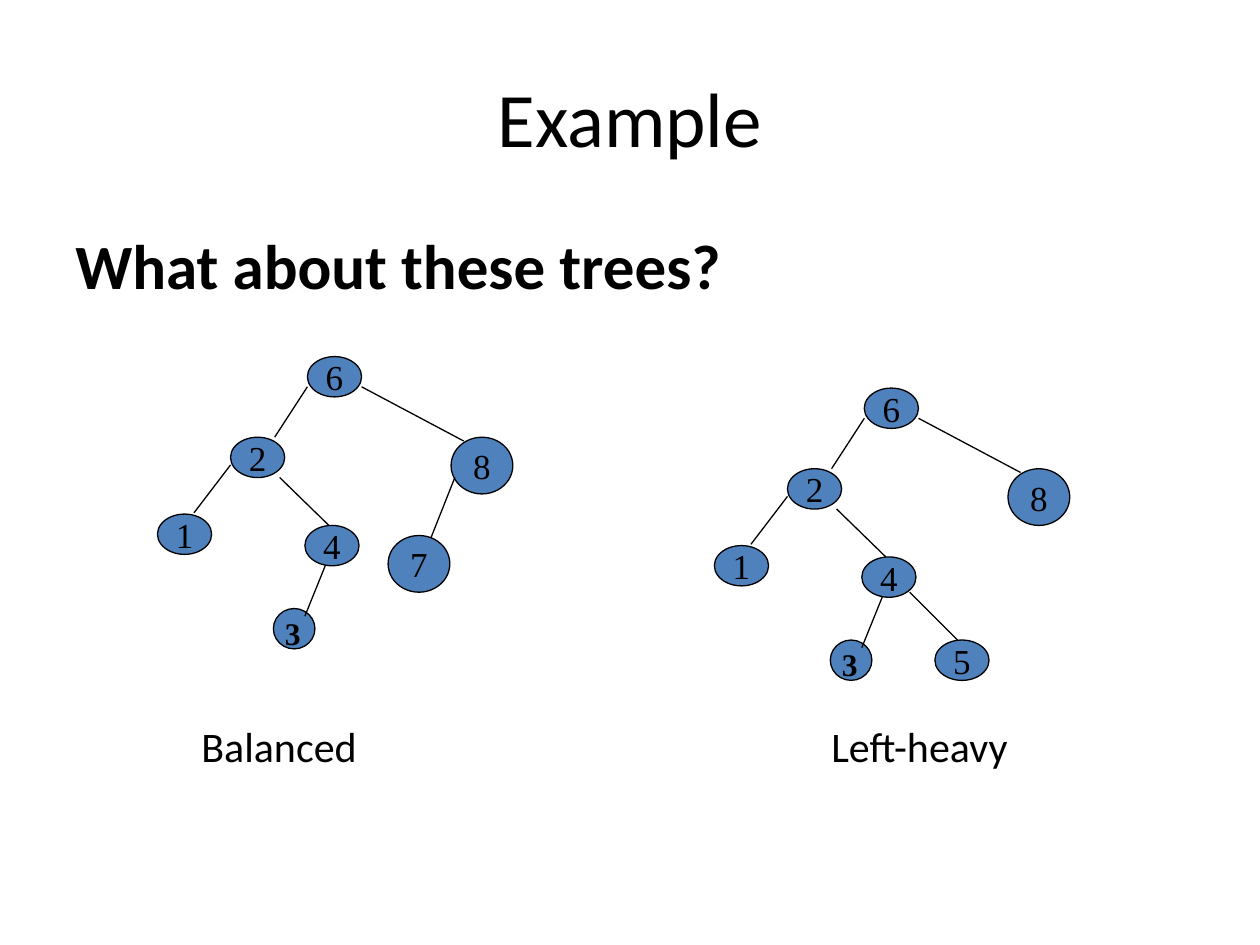
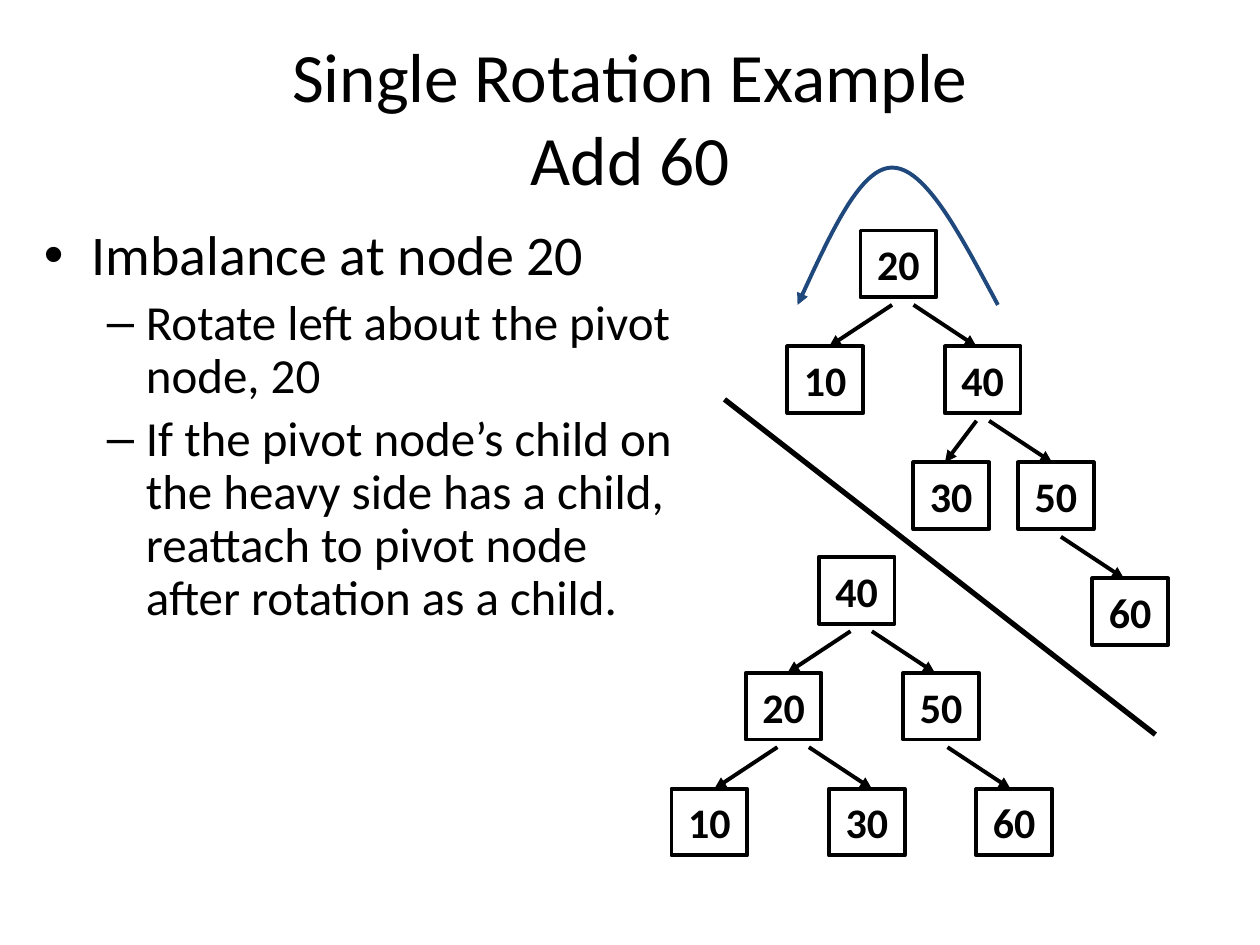
from lxml import etree
from pptx import Presentation
from pptx import util as u
from pptx.dml.color import RGBColor
from pptx.enum import shapes, text
from pptx.oxml.ns import qn

Inches, Pt = u.Inches, u.Pt
COLORS = {"ink": "000000", "paper": "FFFFFF", "node": "4F81BD", "rotation": "1F497D"}
SANS, SERIF = "Calibri", "Times New Roman"
CENTER = text.PP_ALIGN.CENTER
MIDDLE = text.MSO_ANCHOR.MIDDLE


def color(name):
    return RGBColor.from_string(COLORS[name])


def lengths(values):
    return [Inches(value) for value in values]


class Deck:
    """Holds the shared style and the slide being filled."""

    def __init__(self):
        self.presentation = Presentation()
        self.presentation.slide_width = Inches(10)
        self.presentation.slide_height = Inches(7.5)
        self.slide = None

    def format_paragraph(self, paragraph, size, name=SANS, bold=False, **formats):
        for attribute, value in formats.items():
            setattr(paragraph, attribute, value)
        for run in paragraph.runs:
            run.font.color.rgb = color("ink")
            for attribute, value in {"size": Pt(size), "name": name, "bold": bold}.items():
                setattr(run.font, attribute, value)

    def format_frame(self, frame, **formats):
        for attribute, value in formats.items():
            setattr(frame, attribute, value)

    def format_line(self, shape, width, line_color="ink", arrow=None):
        shape.line.color.rgb = color(line_color)
        shape.line.width = Pt(width)
        if arrow:
            end = etree.SubElement(shape.line._get_or_add_ln(), qn(f"a:{arrow}"))
            end.set("type", "triangle")

    def new_slide(self, title, size):
        self.slide = self.presentation.slides.add_slide(self.presentation.slide_layouts[5])
        shape = self.slide.shapes.title
        place = dict(zip(("left", "top", "width", "height"), lengths((0.5, 0.3, 9, 1.25))))
        for attribute, value in place.items():
            setattr(shape, attribute, value)
        frame = shape.text_frame
        frame.text = title
        self.format_frame(frame, vertical_anchor=MIDDLE, auto_size=text.MSO_AUTO_SIZE.NONE)
        self.format_paragraph(frame.paragraphs[0], size, alignment=CENTER)

    def textbox(self, place, words="", wrap=True, anchor=text.MSO_ANCHOR.TOP):
        frame = self.slide.shapes.add_textbox(*lengths(place)).text_frame
        self.format_frame(frame, word_wrap=wrap, vertical_anchor=anchor)
        frame.text = words
        return frame

    def bullets(self, place, items):
        frame = self.textbox(place)
        for index, (words, level) in enumerate(items):
            paragraph = frame.add_paragraph() if index else frame.paragraphs[0]
            paragraph.add_run().text = words
            mark, size, margin, indent = (("•", 32, 0.38, -0.38), ("–", 28, 0.81, -0.31))[level]
            properties = paragraph._p.get_or_add_pPr()
            properties.set("marL", str(Inches(margin)))
            properties.set("indent", str(Inches(indent)))
            etree.SubElement(properties, qn("a:buFont")).set("typeface", "Arial")
            etree.SubElement(properties, qn("a:buChar")).set("char", mark)
            self.format_paragraph(paragraph, size, level=level, line_spacing=0.9,
                                  space_before=Pt(6 if index else 0))

    def tabbed_line(self, place, labels, stops, size):
        paragraph = self.textbox(place, "".join("\t" + label for label in labels)).paragraphs[0]
        tabs = etree.SubElement(paragraph._p.get_or_add_pPr(), qn("a:tabLst"))
        for stop in stops:
            tab = etree.SubElement(tabs, qn("a:tab"))
            tab.set("pos", str(Inches(stop)))
            tab.set("algn", "l")
        self.format_paragraph(paragraph, size)

    def node(self, kind, place, words, fill, width, **font):
        shape = self.slide.shapes.add_shape(kind, *lengths(place))
        shape.shadow.inherit = False
        shape.fill.solid()
        shape.fill.fore_color.rgb = color(fill)
        self.format_line(shape, width)
        if words:
            frame = shape.text_frame
            frame.text = words
            self.format_frame(frame, word_wrap=False, vertical_anchor=MIDDLE)
            self.format_paragraph(frame.paragraphs[0], alignment=CENTER, **font)

    def round_node(self, words, x, y, width=0.43, height=0.32):
        self.node(shapes.MSO_SHAPE.OVAL, (x, y, width, height), words, "node", 0.75,
                  size=20, name=SERIF)

    def box_node(self, words, x, y):
        self.node(shapes.MSO_SHAPE.RECTANGLE, (x, y, 0.6, 0.53), words, "paper", 2.25,
                  size=24, bold=True)

    def connector(self, x1, y1, x2, y2, width, arrow=None):
        line = self.slide.shapes.add_connector(
            shapes.MSO_CONNECTOR.STRAIGHT, *lengths((x1, y1, x2, y2)))
        self.format_line(line, width, arrow=arrow)
        etree.SubElement(line._element.spPr, qn("a:effectLst"))

    def curve(self, start, segments, steps=24):
        """Draw cubic segments, with an arrowhead at the start."""
        points, origin = [], start
        for first, second, end in segments:
            for step in range(1, steps + 1):
                t = step / steps
                s = 1 - t
                points.append(lengths(
                    s**3 * a + 3 * s * s * t * b + 3 * s * t * t * c + t**3 * d
                    for a, b, c, d in zip(origin, first, second, end)))
            origin = end
        builder = self.slide.shapes.build_freeform(*lengths(start))
        builder.add_line_segments(points, close=False)
        shape = builder.convert_to_shape()
        shape.shadow.inherit = False
        shape.fill.background()
        self.format_line(shape, 2.25, "rotation", "headEnd")


# Places in the round trees, measured from the tree's left and top
BIG = (0.49, 0.45)
UPPER_NODES = [("6", 1.19, 0), ("8", 2.33, 0.64, *BIG), ("2", 0.58, 0.64)]
LOWER_NODES = [("1", 0, 1.25), ("4", 1.17, 1.34)]
EDGES = [(1.62, 0.24, 2.43, 0.67), (1.19, 0.24, 0.93, 0.64), (0.97, 0.96, 1.36, 1.34),
         (0.58, 0.86, 0.29, 1.24), (1.36, 1.59, 1.17, 2.06)]


def round_tree(deck, left, top, extra_node, extra_edge):
    deck.round_node("", left + 0.92, top + 2, 0.33, 0.32)
    label = deck.textbox((left + 0.91, top + 1.99, 0.33, 0.4), "3", False, MIDDLE)
    deck.format_paragraph(label.paragraphs[0], 18, SERIF, True, alignment=CENTER)
    for words, x, y, *size in UPPER_NODES:
        deck.round_node(words, left + x, top + y, *size)
    for x1, y1, x2, y2 in EDGES + [extra_edge]:
        deck.connector(left + x1, top + y1, left + x2, top + y2, 0.75)
    for words, x, y, *size in LOWER_NODES + [extra_node]:
        deck.round_node(words, left + x, top + y, *size)


def box_tree(deck, top, rows, arrows):
    """Each row lists (key, left); each arrow row lists (from x, to x)."""
    pitch = 0.92
    for level, row in enumerate(rows):
        for words, left in row:
            deck.box_node(words, left, top + level * pitch)
    for level, row in enumerate(arrows):
        y = top + level * pitch
        for x1, x2 in row:
            deck.connector(x1, y + 0.59, x2, y + pitch, 2.25, "tailEnd")


def balance_slide(deck):
    deck.new_slide("Example", 44)
    question = deck.textbox((0.5, 1.75, 9, 0.75), "What about these trees?")
    deck.format_paragraph(question.paragraphs[0], 36, bold=True)
    round_tree(deck, 1.25, 2.83, ("7", 1.83, 1.42, *BIG), (2.36, 0.96, 2.17, 1.44))
    round_tree(deck, 5.67, 3.08, ("5", 1.75, 2), (1.55, 1.62, 1.94, 2.01))
    deck.tabbed_line((0.5, 5.67, 9.17, 0.5), ("Balanced", "Left-heavy"), (1, 6), 24)


def rotation_slide(deck):
    deck.new_slide("Single Rotation Example\vAdd 60", 39.6)
    deck.curve((6.33, 2.42), [((6.58, 1.88), (6.82, 1.33), (7.08, 1.33)),
                              ((7.35, 1.33), (7.63, 1.88), (7.92, 2.42))])
    deck.bullets((0.25, 1.75, 5.22, 4.92), [
        ("Imbalance at node 20", 0),
        ("Rotate left about the pivot node, 20", 1),
        ("If the pivot node’s child on the heavy side has a child, "
         "reattach to pivot node after rotation as a child.", 1),
    ])
    # Before the rotation
    box_tree(deck, 1.83,
             [[("20", 6.83)], [("10", 6.25), ("40", 7.5)],
              [("30", 7.25), ("50", 8.08)], [("60", 8.67)]],
             [[(7.08, 6.58), (7.25, 7.75)], [(7.75, 7.5), (7.85, 8.35)], [(8.42, 8.92)]])
    # After the rotation
    box_tree(deck, 4.42,
             [[("40", 6.5)], [("20", 5.92), ("50", 7.17)],
              [("10", 5.33), ("30", 6.58), ("60", 7.75)]],
             [[(6.75, 6.25), (6.92, 7.42)], [(6.17, 5.67), (6.42, 6.92), (7.52, 8.02)]])
    # Divider between the two trees
    deck.connector(5.75, 3.17, 9.17, 5.83, 3)


def main():
    deck = Deck()
    balance_slide(deck)
    rotation_slide(deck)
    deck.presentation.save("out.pptx")


if __name__ == "__main__":
    main()
